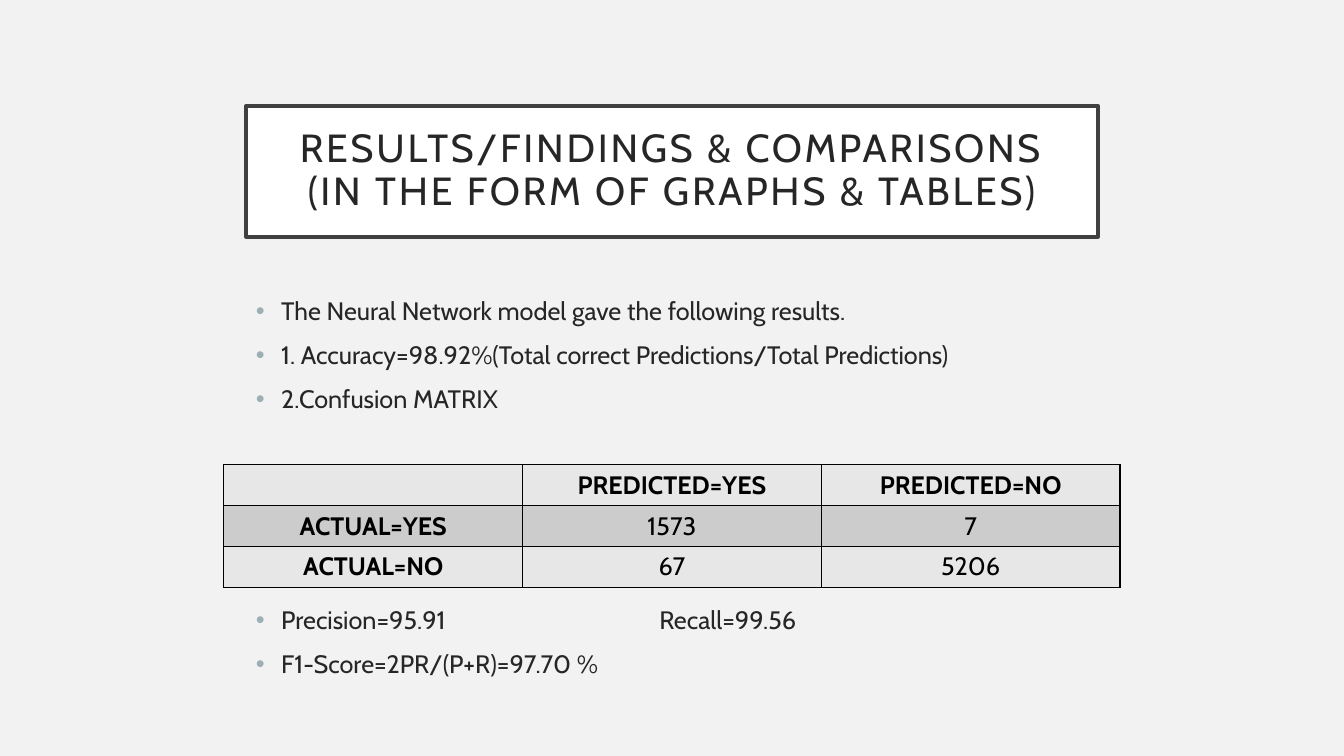
from lxml import etree
from pptx import Presentation
from pptx.dml.color import RGBColor
from pptx.enum.shapes import MSO_SHAPE
from pptx.enum.text import MSO_ANCHOR, PP_ALIGN
from pptx.oxml.ns import qn
from pptx.util import Inches, Pt

RECT = MSO_SHAPE.RECTANGLE
MIDDLE = MSO_ANCHOR.MIDDLE
CENTER = PP_ALIGN.CENTER


def color(value):
    return RGBColor.from_string(value)


def write(para, text, ink, **form):
    para.text = text
    for run in para.runs:
        run.font.color.rgb = color(ink)
        for name, value in {"name": "Cabin", "size": Pt(18), **form}.items():
            setattr(run.font, name, value)


deck = Presentation()
deck.slide_width, deck.slide_height = Inches(13.33), Inches(7.5)
slide = deck.slides.add_slide(deck.slide_layouts[6])
slide.background.fill.solid()
slide.background.fill.fore_color.rgb = color("F2F2F2")
left, width = Inches(2.44), Inches(8.45)

# Bullets, with room for the table before the fourth one
body = slide.shapes.add_textbox(left, Inches(2.88), width, Inches(4.36))
frame = body.text_frame
frame.word_wrap = True
bullets = [
    ("The Neural Network model gave the following results.", 10),
    ("1. Accuracy=98.92%(Total correct Predictions/Total Predictions)", 10),
    ("2.Confusion MATRIX", 10),
    ("Precision=95.91\tRecall=99.56", 136),
    ("F1-Score=2PR/(P+R)=97.70 %", 10),
]
for i, (text, gap) in enumerate(bullets):
    para = frame.add_paragraph() if i else frame.paragraphs[0]
    write(para, text, "262626")
    para.space_before = Pt(gap)
    props = para._p.get_or_add_pPr()
    props.set("marL", str(Inches(0.25)))
    props.set("indent", str(-Inches(0.25)))
    tint = etree.SubElement(props, qn("a:buClr"))
    etree.SubElement(tint, qn("a:srgbClr"), val="9BAFB5")
    etree.SubElement(props, qn("a:buFont"), typeface="Arial")
    etree.SubElement(props, qn("a:buChar"), char="•")
    tabs = etree.SubElement(props, qn("a:tabLst"))
    etree.SubElement(tabs, qn("a:tab"), pos=str(Inches(4)), algn="l")

# Title box
title = slide.shapes.add_shape(RECT, left, Inches(1.05), width, Inches(1.3))
title.shadow.inherit = False
title.fill.solid()
title.fill.fore_color.rgb = color("FFFFFF")
title.line.color.rgb = color("404040")
title.line.width = Pt(2.5)
frame = title.text_frame
frame.word_wrap = True
frame.vertical_anchor = MIDDLE
for side in ("left", "right", "top", "bottom"):
    setattr(frame, f"margin_{side}", Inches(0.2))
para = frame.paragraphs[0]
para.alignment = CENTER
para.line_spacing = 0.9
write(para, "RESULTS/FINDINGS & COMPARISONS\v(IN THE FORM OF GRAPHS & TABLES)",
      "262626", size=Pt(28))
for run in para.runs:
    run._r.get_or_add_rPr().set("spc", "200")

# Confusion matrix
rows = [
    ("", "PREDICTED=YES", "PREDICTED=NO"),
    ("ACTUAL=YES", "1573", "7"),
    ("ACTUAL=NO", "67", "5206"),
]
matrix = slide.shapes.add_table(3, 3, Inches(2.22), Inches(4.61),
                                Inches(8.89), Inches(1.22)).table
for r, row in enumerate(rows):
    for c, text in enumerate(row):
        cell = matrix.cell(r, c)
        cell.fill.solid()
        cell.fill.fore_color.rgb = color("CCCCCC" if r == 1 else "E7E7E7")
        para = cell.text_frame.paragraphs[0]
        para.alignment = CENTER
        write(para, text, "000000", bold=r == 0 or c == 0)
        props = cell._tc.get_or_add_tcPr()
        for i, edge in enumerate(("lnL", "lnR", "lnT", "lnB")):
            line = etree.Element(qn(f"a:{edge}"), w=str(Pt(1)))
            fill = etree.SubElement(line, qn("a:solidFill"))
            etree.SubElement(fill, qn("a:srgbClr"), val="000000")
            props.insert(i, line)

deck.save("out.pptx")
